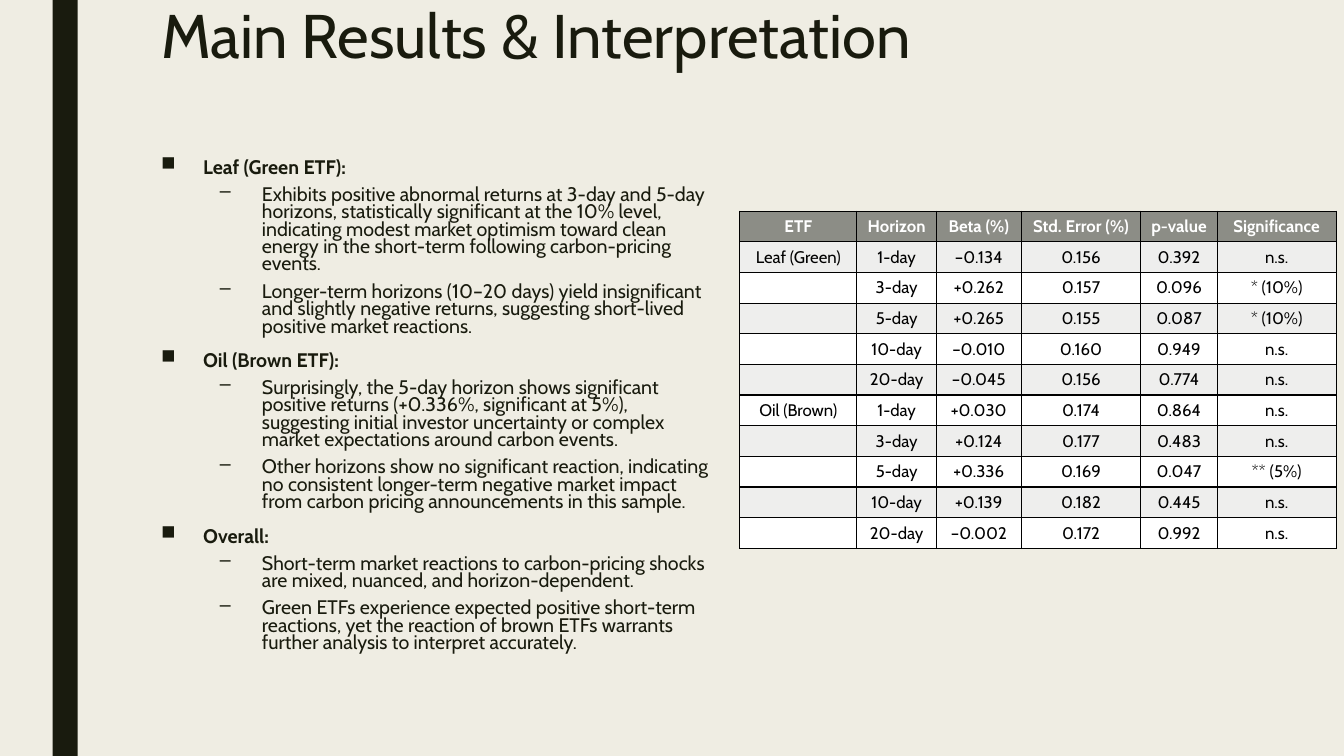
from lxml import etree
from pptx import Presentation
from pptx.dml.color import RGBColor
from pptx.enum import shapes, text
from pptx.oxml import ns
from pptx.util import Pt

COLORS = {"bg": "EFEDE3", "dark": "191B0E", "header": "8C8D86", "band": "EEEEED",
          "white": "FFFFFF", "black": "000000"}
FONT = "Cabin"


def set_attrs(obj, values):
    for name, value in values.items():
        setattr(obj, name, value)


def add_run(p, wording, size, color, bold=False):
    r = p.add_run()
    r.text = wording
    set_attrs(r.font, {"name": FONT, "size": Pt(size), "bold": bold})
    r.font.color.rgb = RGBColor.from_string(COLORS[color])


prs = Presentation()
prs.slide_width, prs.slide_height = Pt(960), Pt(540)
s = prs.slides.add_slide(prs.slide_layouts[6])
s.background.fill.solid()
s.background.fill.fore_color.rgb = RGBColor.from_string(COLORS["bg"])

# Side bar
bar = s.shapes.add_shape(shapes.MSO_SHAPE.RECTANGLE, Pt(37.5), 0, Pt(18), Pt(540))
bar.shadow.inherit = False
bar.fill.solid()
bar.fill.fore_color.rgb = RGBColor.from_string(COLORS["dark"])
bar.line.fill.background()

# Title
title = s.shapes.add_textbox(Pt(108), Pt(0.7), Pt(756), Pt(116.6))
title.text_frame.word_wrap = True
p = title.text_frame.paragraphs[0]
p.line_spacing = 0.89
add_run(p, "Main Results & Interpretation", 44, "dark")

# Findings: each heading with its points
findings = [
    ("Leaf (Green ETF):", [
        "Exhibits positive abnormal returns at 3-day and 5-day horizons, statistically "
        "significant at the 10% level, indicating modest market optimism toward clean "
        "energy in the short-term following carbon-pricing events.",
        "Longer-term horizons (10–20 days) yield insignificant and slightly negative "
        "returns, suggesting short-lived positive market reactions."]),
    ("Oil (Brown ETF):", [
        "Surprisingly, the 5-day horizon shows significant positive returns (+0.336%, "
        "significant at 5%), suggesting initial investor uncertainty or complex market "
        "expectations around carbon events.",
        "Other horizons show no significant reaction, indicating no consistent longer-term "
        "negative market impact from carbon pricing announcements in this sample."]),
    ("Overall:", [
        "Short-term market reactions to carbon-pricing shocks are mixed, nuanced, and "
        "horizon-dependent.",
        "Green ETFs experience expected positive short-term reactions, yet the reaction of "
        "brown ETFs warrants further analysis to interpret accurately."]),
]
levels = [{"bullet": "■", "indent": 30, "before": 10}, {"bullet": "–", "indent": 72, "before": 5}]
body = s.shapes.add_textbox(Pt(108), Pt(86.4), Pt(409.7), Pt(410.4))
tf = body.text_frame
set_attrs(tf, {"word_wrap": True, "margin_top": Pt(28)})
lines = [(level, line) for heading, points in findings
         for level, line in [(0, heading)] + [(1, point) for point in points]]
for i, (level, line) in enumerate(lines):
    style = levels[level]
    p = tf.add_paragraph() if i else tf.paragraphs[0]
    set_attrs(p, {"level": level, "line_spacing": 0.74, "space_after": Pt(2),
                  "space_before": Pt(style["before"] if i else 0)})
    pPr = p._p.get_or_add_pPr()
    pPr.set("marL", str(Pt(style["indent"])))
    pPr.set("indent", str(-Pt(30)))
    etree.SubElement(pPr, ns.qn("a:buChar")).set("char", style["bullet"])
    add_run(p, line, 14, "dark", bold=level == 0)

# Results table
rows = [
    ["ETF", "Horizon", "Beta (%)", "Std. Error (%)", "p-value", "Significance"],
    ["Leaf (Green)", "1-day", "–0.134", "0.156", "0.392", "n.s."],
    ["", "3-day", "+0.262", "0.157", "0.096", "* (10%)"],
    ["", "5-day", "+0.265", "0.155", "0.087", "* (10%)"],
    ["", "10-day", "–0.010", "0.160", "0.949", "n.s."],
    ["", "20-day", "–0.045", "0.156", "0.774", "n.s."],
    ["Oil (Brown)", "1-day", "+0.030", "0.174", "0.864", "n.s."],
    ["", "3-day", "+0.124", "0.177", "0.483", "n.s."],
    ["", "5-day", "+0.336", "0.169", "0.047", "** (5%)"],
    ["", "10-day", "+0.139", "0.182", "0.445", "n.s."],
    ["", "20-day", "–0.002", "0.172", "0.992", "n.s."],
]
col_widths = [83.5, 57, 60.5, 85.5, 54.5, 85]
row_height = 21.9
results = s.shapes.add_table(len(rows), len(col_widths), Pt(528.5), Pt(150.9),
                             Pt(sum(col_widths)), Pt(row_height * len(rows))).table
for col, width in zip(results.columns, col_widths):
    col.width = Pt(width)
for i, row in enumerate(rows):
    results.rows[i].height = Pt(row_height)
    fill = "header" if i == 0 else "band" if i % 2 else "white"
    for j, wording in enumerate(row):
        cell = results.cell(i, j)
        set_attrs(cell, {"vertical_anchor": text.MSO_ANCHOR.MIDDLE, "margin_left": Pt(4),
                         "margin_right": Pt(4), "margin_top": Pt(3.5), "margin_bottom": Pt(3.5)})
        p = cell.text_frame.paragraphs[0]
        p.alignment = text.PP_ALIGN.CENTER
        if wording:
            add_run(p, wording, 12, "black" if i else "white", bold=i == 0)
        else:
            etree.SubElement(p._p, ns.qn("a:endParaRPr")).set("sz", "1200")
        # Borders come before the fill in the cell properties
        tcPr = cell._tc.get_or_add_tcPr()
        for side in ("lnL", "lnR", "lnT", "lnB"):
            ln = etree.SubElement(tcPr, ns.qn("a:" + side), w=str(Pt(1)))
            solid = etree.SubElement(ln, ns.qn("a:solidFill"))
            etree.SubElement(solid, ns.qn("a:srgbClr"), val=COLORS["black"])
        cell.fill.solid()
        cell.fill.fore_color.rgb = RGBColor.from_string(COLORS[fill])

prs.save("out.pptx")
